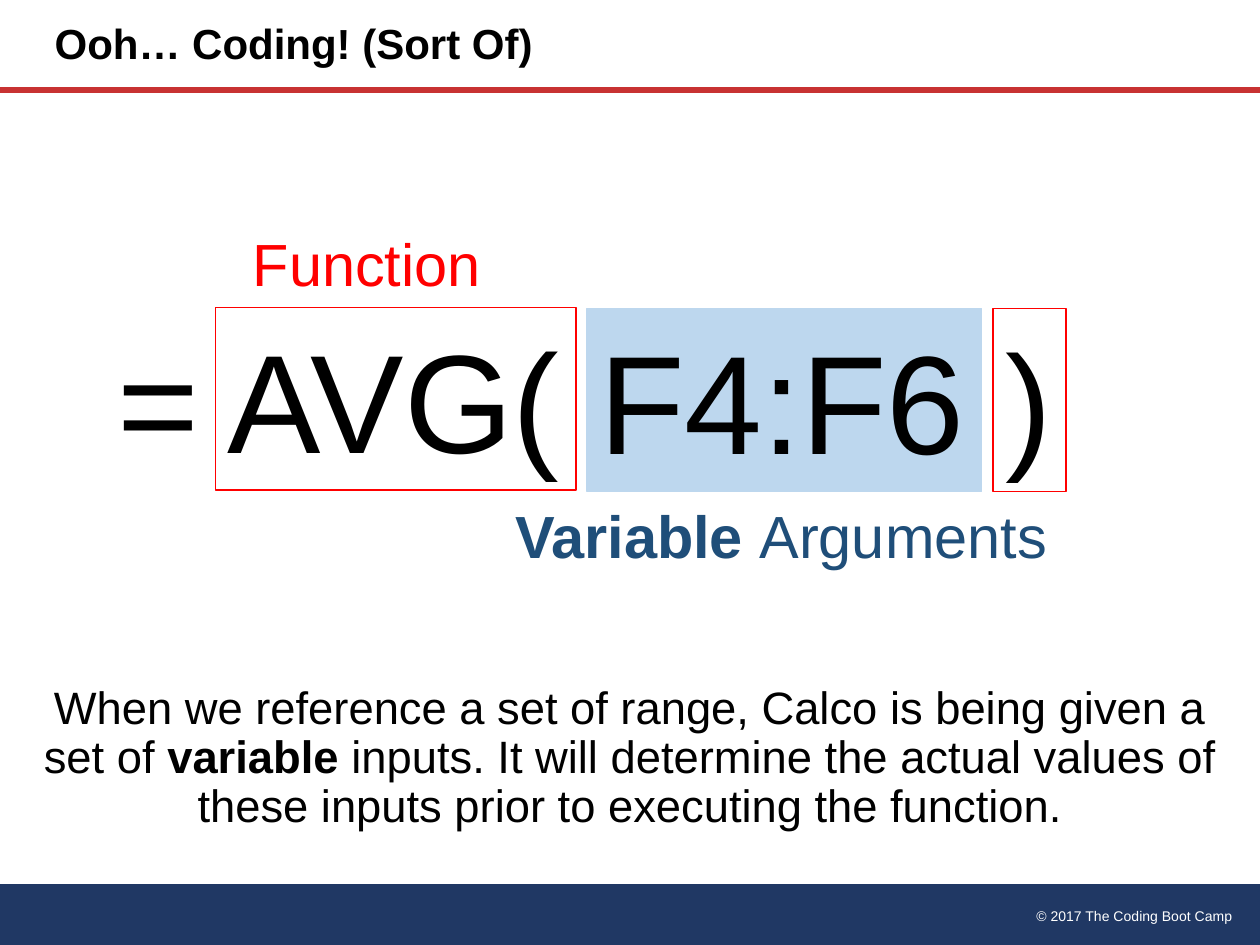
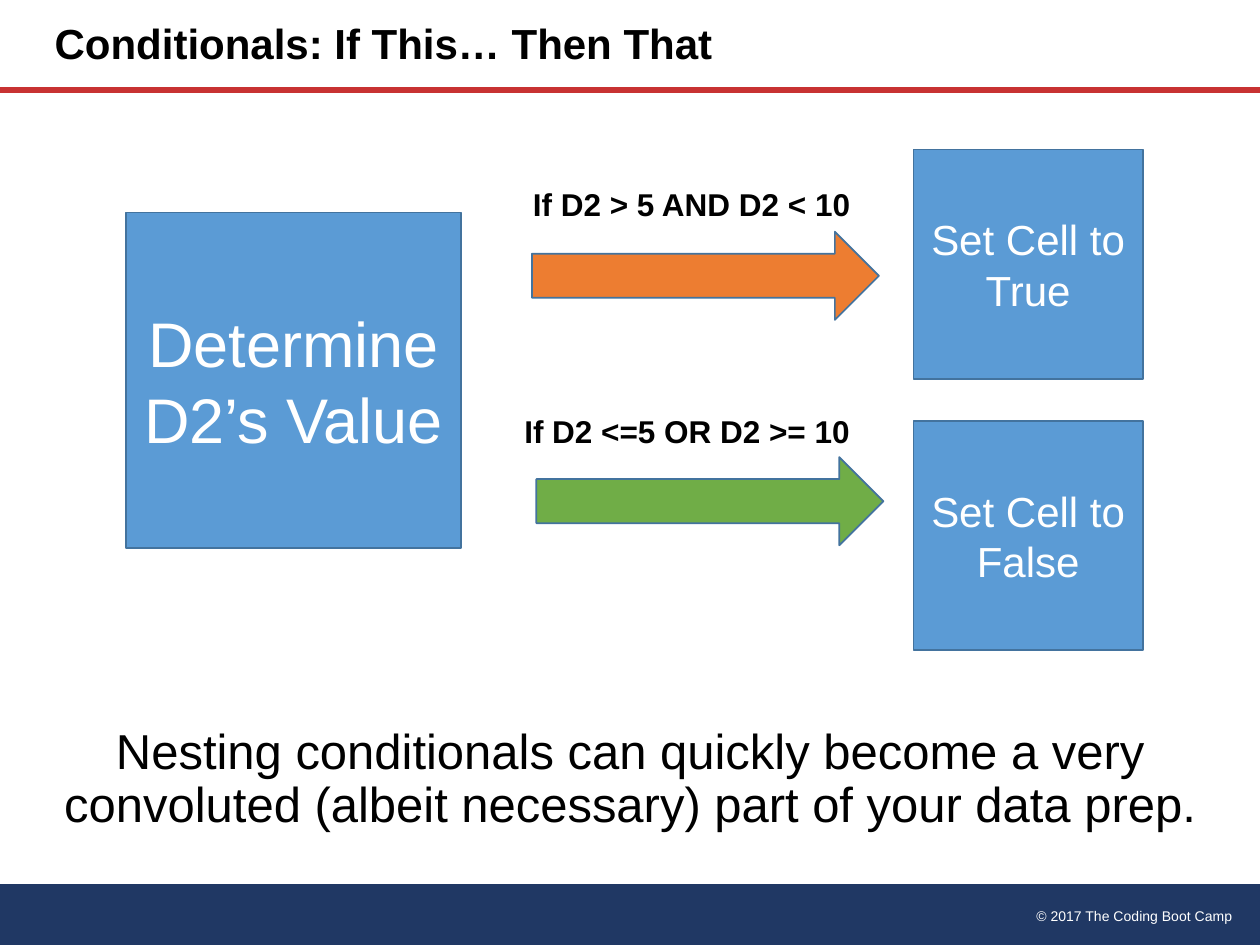
from pptx import Presentation
from pptx.dml.color import RGBColor
from pptx.enum import shapes, text
from pptx.oxml.ns import qn
from pptx.util import Pt
from lxml import etree

HUES = {"navy": "203864", "rule": "C83232", "white": "FFFFFF", "black": "000000",
        "red": "FF0000", "ink": "1F4E79", "pale": "BDD7EE", "blue": "5B9BD5",
        "edge": "43739E", "orange": "ED7D31", "green": "70AD47"}
HUES = {name: RGBColor.from_string(code) for name, code in HUES.items()}
LEFT, MID, RIGHT = text.PP_ALIGN.LEFT, text.PP_ALIGN.CENTER, text.PP_ALIGN.RIGHT
TOP, CORE = text.MSO_ANCHOR.TOP, text.MSO_ANCHOR.MIDDLE
KINDS = shapes.MSO_SHAPE


def write(item, parts, size, hue="black", align=LEFT, anchor=TOP, wrap=True, lead=None):
    frame = item.text_frame
    frame.word_wrap = wrap
    frame.auto_size = text.MSO_AUTO_SIZE.NONE
    frame.vertical_anchor = anchor
    para = frame.paragraphs[0]
    para.alignment = align
    if lead:
        para.line_spacing = lead
    for words, bold in parts:
        run = para.add_run()
        run.text = words
        run.font.name = "Arial"
        run.font.size = Pt(size)
        run.font.bold = bold
        run.font.color.rgb = HUES[hue]


def draw(slide, kind, box, fill=None, line=None, width=1):
    item = slide.shapes.add_shape(kind, *map(Pt, box))
    item.shadow.inherit = False
    if fill:
        item.fill.solid()
        item.fill.fore_color.rgb = HUES[fill]
    else:
        item.fill.background()
    if line:
        item.line.color.rgb = HUES[line]
        item.line.width = Pt(width)
    else:
        item.line.fill.background()
    return item


deck = Presentation()
deck.slide_width, deck.slide_height = Pt(720), Pt(540)
layout = deck.slide_layouts[5]

pages = []
for title in ["Ooh… Coding! (Sort Of)", "Conditionals: If This… Then That"]:
    page = deck.slides.add_slide(layout)
    head = page.shapes.title
    head.left, head.top, head.width, head.height = map(Pt, (24, 0, 430.5, 52))
    write(head, [(title, True)], 24, anchor=CORE, lead=0.9)
    pages.append(page)
code, logic = pages

band = draw(code, KINDS.FLOWCHART_PROCESS, (0, 505.2, 720.5, 36), "navy")
credit = code.shapes.add_textbox(*map(Pt, (491.8, 514.8, 219.6, 17.3)))
write(credit, [("© 2017 The Coding Boot Camp", False)], 8, "white", RIGHT)
rule = code.shapes.add_connector(shapes.MSO_CONNECTOR.STRAIGHT, 0, Pt(51.6), Pt(720), Pt(51.6))
rule.line.color.rgb = HUES["rule"]
rule.line.width = Pt(3.25)
etree.SubElement(rule.element.spPr, qn("a:effectLst"))
for mark, item in enumerate([band, credit, rule], 20):
    item.element.xpath(".//p:cNvPr")[0].set("id", str(mark))
    layout.shapes.element.append(item.element)

for words, left, width, fill, line in [("=", 59.8, 61.9, None, None),
                                       ("AVG(", 123.1, 206, None, "red"),
                                       ("F4:F6", 335.5, 225.4, "pale", "pale"),
                                       (")", 567.4, 41.8, None, "red")]:
    top = 175.7 if words == "AVG(" else 176.4
    token = draw(code, KINDS.RECTANGLE, (left, top, width, 104.4), fill, line, 0.75)
    write(token, [(words, False)], 80, wrap=False)

for parts, box, hue in [
        ([("Function", False)], (137.5, 126, 146.2, 48.2), "red"),
        ([("Variable ", True), ("Arguments", False)], (287.3, 281.5, 321.8, 48.2), "ink")]:
    label = code.shapes.add_textbox(*map(Pt, box))
    write(label, parts, 34, hue, wrap=False)

for words, box, size in [("Determine D2’s Value", (72, 121.5, 191.5, 191.5), 36),
                         ("Set Cell to True", (522, 85.4, 131, 131), 24),
                         ("Set Cell to False", (522, 240.5, 131, 131), 24)]:
    step = draw(logic, KINDS.RECTANGLE, box, "blue", "edge")
    write(step, [(words, False)], size, "white", MID, CORE)

for words, box, left, top, fill in [
        ("If D2 > 5 AND D2 < 10", (297.4, 102.2, 198, 28.8), 304, 132.4, "orange"),
        ("If D2 <=5 OR D2 >= 10", (292.5, 231.8, 207.4, 28.8), 306.5, 261.2, "green")]:
    draw(logic, KINDS.RIGHT_ARROW, (left, top, 198.3, 50.4), fill, "edge")
    test = logic.shapes.add_textbox(*map(Pt, box))
    write(test, [(words, True)], 18, wrap=False)

for page, top, size, parts in [
        (code, 383.8, 25.9, [
            ("When we reference a set of range, Calco is being given a set of ", False),
            ("variable ", True),
            ("inputs. It will determine the actual values of these inputs "
             "prior to executing the function.", False)]),
        (logic, 396, 28, [
            ("Nesting conditionals can quickly become a very convoluted "
             "(albeit necessary) part of your data prep.", False)])]:
    note = page.shapes.add_textbox(*map(Pt, (12, top, 696, 99.7)))
    write(note, parts, size, align=MID, anchor=CORE, lead=0.9)

deck.save("out.pptx")
